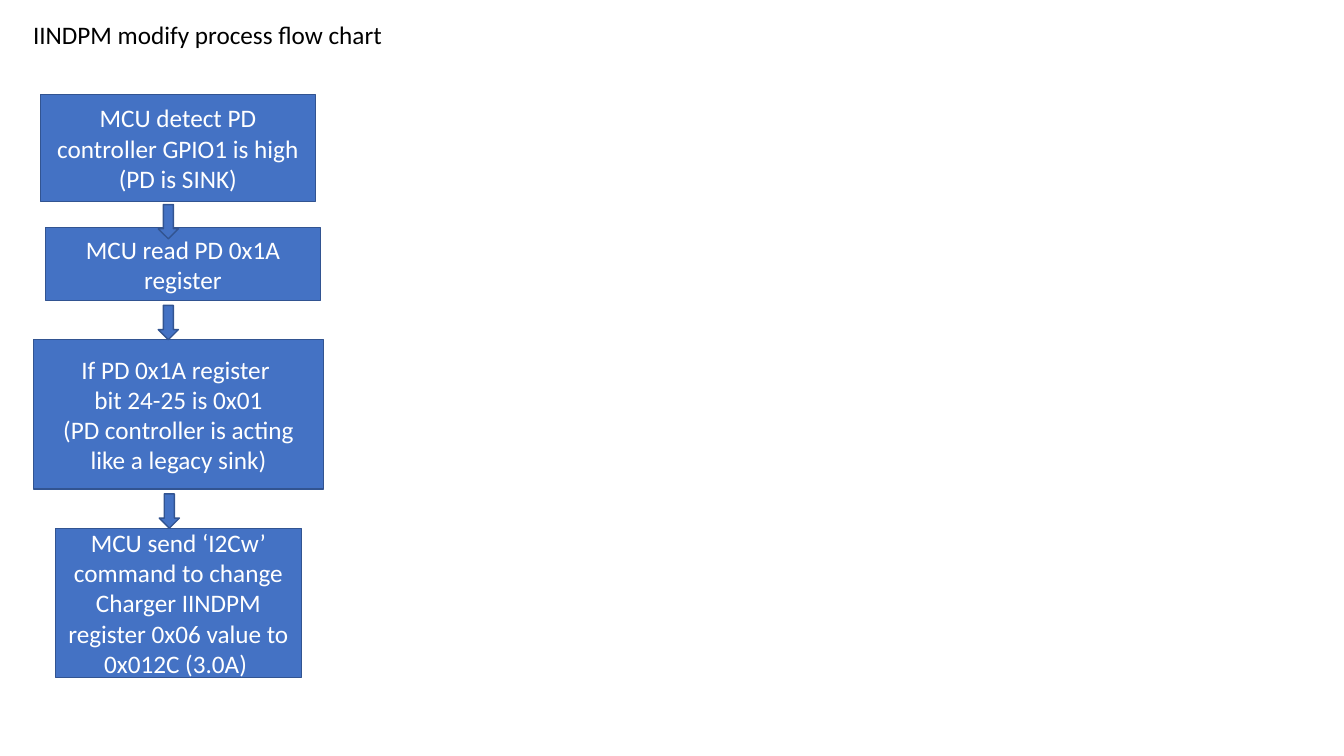
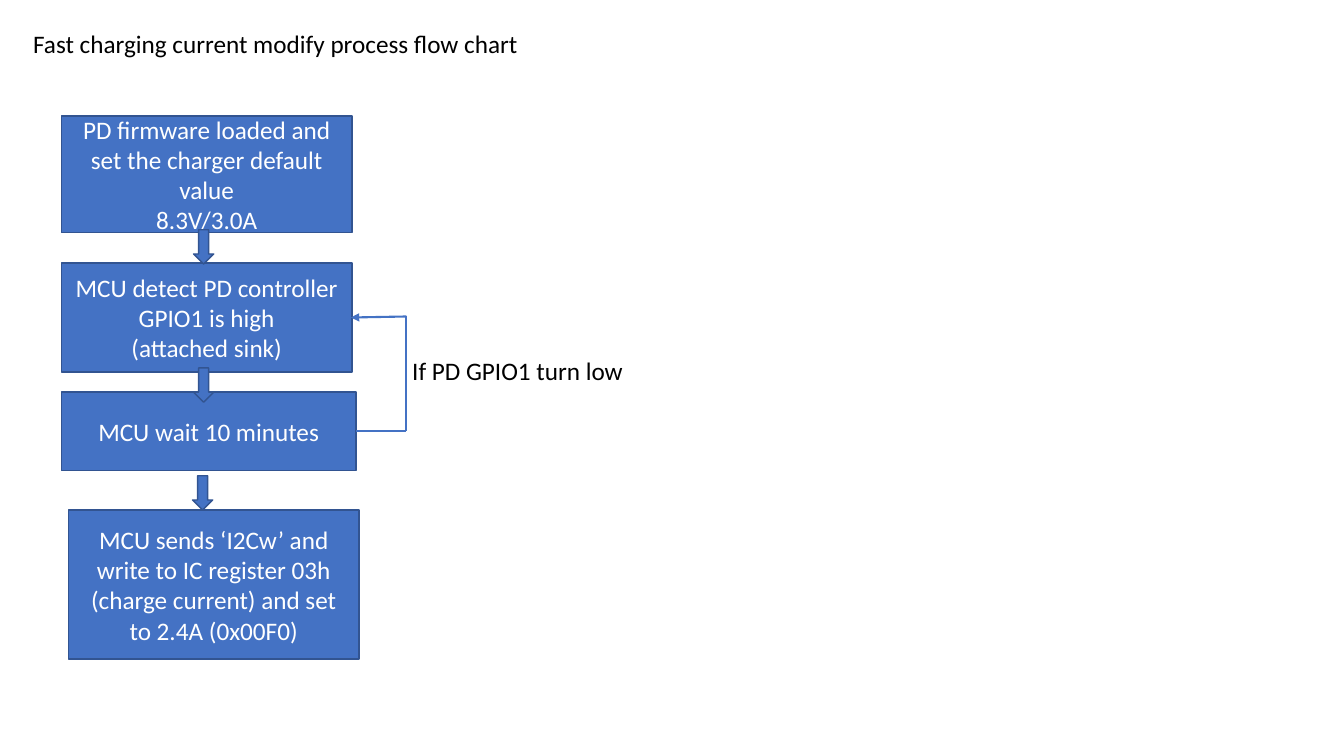
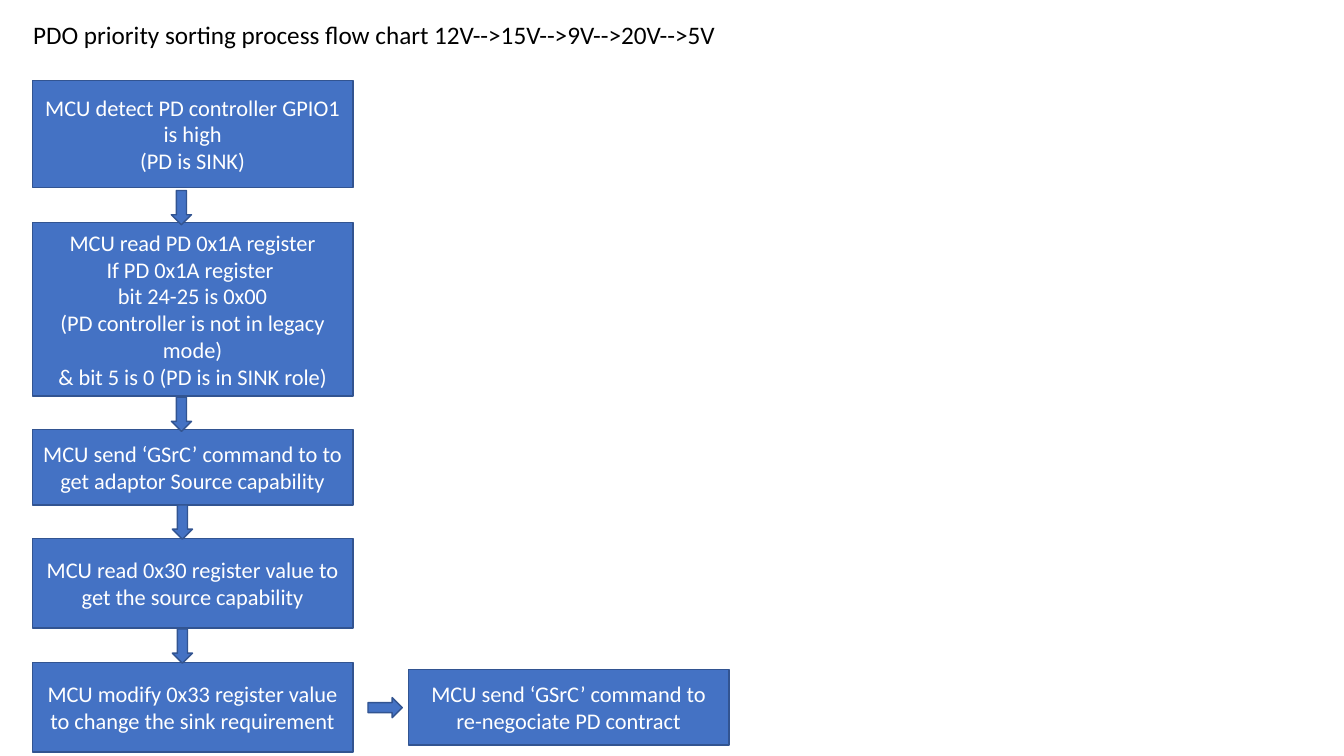
"""Build three slides of charger control flow charts."""
from lxml import etree
from pptx import Presentation
from pptx.dml.color import RGBColor
from pptx.enum.shapes import MSO_CONNECTOR, MSO_SHAPE
from pptx.enum.text import MSO_ANCHOR, MSO_AUTO_SIZE, PP_ALIGN
from pptx.oxml.ns import qn
from pptx.util import Inches, Pt

RECT = MSO_SHAPE.RECTANGLE
DOWN_ARROW = MSO_SHAPE.DOWN_ARROW
STRAIGHT = MSO_CONNECTOR.STRAIGHT
MIDDLE = MSO_ANCHOR.MIDDLE
CENTER = PP_ALIGN.CENTER
GROW = MSO_AUTO_SIZE.SHAPE_TO_FIT_TEXT

FONT = "Calibri"
BLUE, EDGE, WHITE, BLACK = "4472C4", "325491", "FFFFFF", "000000"
LEFT = 0.23
ARROW_W, ARROW_H = 0.2, 0.34


def color(value):
    """Turn a hex string into a colour."""
    return RGBColor.from_string(value)


def set_font(p, size, value):
    """Set the font of a paragraph."""
    p.font.name = FONT
    p.font.size = Pt(size)
    p.font.color.rgb = color(value)


def add_label(s, x, y, w, text):
    """Add one line of black text that does not wrap."""
    sp = s.shapes.add_textbox(Inches(x), Inches(y), Inches(w), Inches(0.4))
    tf = sp.text_frame
    tf.word_wrap = False
    tf.auto_size = GROW
    tf.text = text
    set_font(tf.paragraphs[0], 18, BLACK)


def add_block(s, kind, x, y, w, h):
    """Add a blue preset shape with a dark edge."""
    sp = s.shapes.add_shape(kind, Inches(x), Inches(y), Inches(w), Inches(h))
    sp.shadow.inherit = False
    sp.fill.solid()
    sp.fill.fore_color.rgb = color(BLUE)
    sp.line.color.rgb = color(EDGE)
    sp.line.width = Pt(1)
    return sp


def add_step(s, x, y, w, h, text, size=18):
    """Add a process box with one paragraph per line of text."""
    tf = add_block(s, RECT, x, y, w, h).text_frame
    tf.word_wrap = True
    tf.vertical_anchor = MIDDLE
    tf.text = text
    for p in tf.paragraphs:
        p.alignment = CENTER
        set_font(p, size, WHITE)


def add_arrow(s, x, y, rotation=0):
    """Add a small block arrow, pointing down unless rotated."""
    add_block(s, DOWN_ARROW, x, y, ARROW_W, ARROW_H).rotation = rotation


def add_line(s, start, end, head=False):
    """Add a straight line, with an arrowhead at its end if asked."""
    points = [Inches(v) for v in (*start, *end)]
    line = s.shapes.add_connector(STRAIGHT, *points)
    line.line.color.rgb = color(BLUE)
    line.line.width = Pt(1.5)
    if head:
        ln = line.line._get_or_add_ln()
        etree.SubElement(ln, qn("a:tailEnd"), type="triangle")
    etree.SubElement(line._element.spPr, qn("a:effectLst"))


def add_flow_slide(prs, title, title_y, title_w, steps, arrows, size=18):
    """Add a slide with a title, process boxes and down arrows."""
    s = prs.slides.add_slide(prs.slide_layouts[6])
    add_label(s, LEFT, title_y, title_w, title)
    for step in steps:
        add_step(s, *step, size=size)
    for x, y in arrows:
        add_arrow(s, x, y)
    return s


def add_input_limit_slide(prs):
    """Add the IINDPM flow chart."""
    steps = [
        (0.4, 0.94, 2.73, 1.06,
         "MCU detect PD controller GPIO1 is high\n(PD is SINK)"),
        (0.45, 2.26, 2.73, 0.72, "MCU read PD 0x1A register"),
        (0.33, 3.37, 2.88, 1.48,
         "If PD 0x1A register \nbit 24-25 is 0x01\n"
         "(PD controller is acting like a legacy sink)"),
        (0.55, 5.24, 2.44, 1.48,
         "MCU send ‘I2Cw’ command to change Charger IINDPM "
         "register 0x06 value to 0x012C (3.0A) "),
    ]
    arrows = [(1.57, 2.03), (1.57, 3.03), (1.58, 4.9)]
    add_flow_slide(prs, "IINDPM modify process flow chart", 0.14, 3.7,
                   steps, arrows)


def add_fast_charge_slide(prs):
    """Add the fast charging flow chart with its return loop."""
    steps = [
        (0.61, 1.15, 2.88, 1.16,
         "PD firmware loaded and set the charger default value\n8.3V/3.0A"),
        (0.61, 2.61, 2.88, 1.08,
         "MCU detect PD controller GPIO1 is high\n(attached sink)"),
        (0.61, 3.89, 2.92, 0.78, "MCU wait 10 minutes"),
        (0.68, 5.06, 2.88, 1.48,
         "MCU sends ‘I2Cw’ and write to IC register 03h "
         "(charge current) and set to 2.4A (0x00F0)"),
    ]
    arrows = [(1.92, 2.28), (1.92, 3.65), (1.91, 4.72)]
    s = add_flow_slide(prs, "Fast charging current modify process flow chart",
                       0.23, 5.07, steps, arrows)
    loop = [(3.53, 4.28), (4.03, 4.28), (4.03, 3.14), (3.48, 3.15)]
    for start, end in zip(loop, loop[1:]):
        add_line(s, start, end, head=end == loop[-1])
    add_label(s, 3.99, 3.48, 2.32, "If PD GPIO1 turn low")


def add_priority_slide(prs):
    """Add the PDO priority flow chart."""
    x, w = 0.32, 3.18
    steps = [
        (x, 0.8, w, 1.06,
         "MCU detect PD controller GPIO1 is high\n(PD is SINK)"),
        (x, 2.21, w, 1.72,
         "MCU read PD 0x1A register\nIf PD 0x1A register \n"
         "bit 24-25 is 0x00\n(PD controller is not in legacy mode)\n"
         "& bit 5 is 0 (PD is in SINK role)"),
        (x, 4.26, w, 0.75,
         "MCU send ‘GSrC’ command to to get adaptor Source capability"),
        (x, 5.34, w, 0.89,
         "MCU read 0x30 register value to get the source capability"),
        (x, 6.57, w, 0.89,
         "MCU modify 0x33 register value to change the sink requirement"),
        (4.05, 6.64, w, 0.75,
         "MCU send ‘GSrC’ command to re-negociate PD contract"),
    ]
    arrows = [(1.7, 1.89), (1.7, 3.94), (1.71, 5.01), (1.71, 6.24)]
    s = add_flow_slide(
        prs,
        "PDO priority sorting process flow chart 12V-->15V-->9V-->20V-->5V",
        0.14, 7.1, steps, arrows, size=16)
    add_arrow(s, 3.72, 6.85, rotation=270)


def main():
    """Build and save the presentation."""
    prs = Presentation()
    prs.slide_width = Inches(13.33)
    prs.slide_height = Inches(7.5)
    add_input_limit_slide(prs)
    add_fast_charge_slide(prs)
    add_priority_slide(prs)
    prs.save("out.pptx")


if __name__ == "__main__":
    main()
